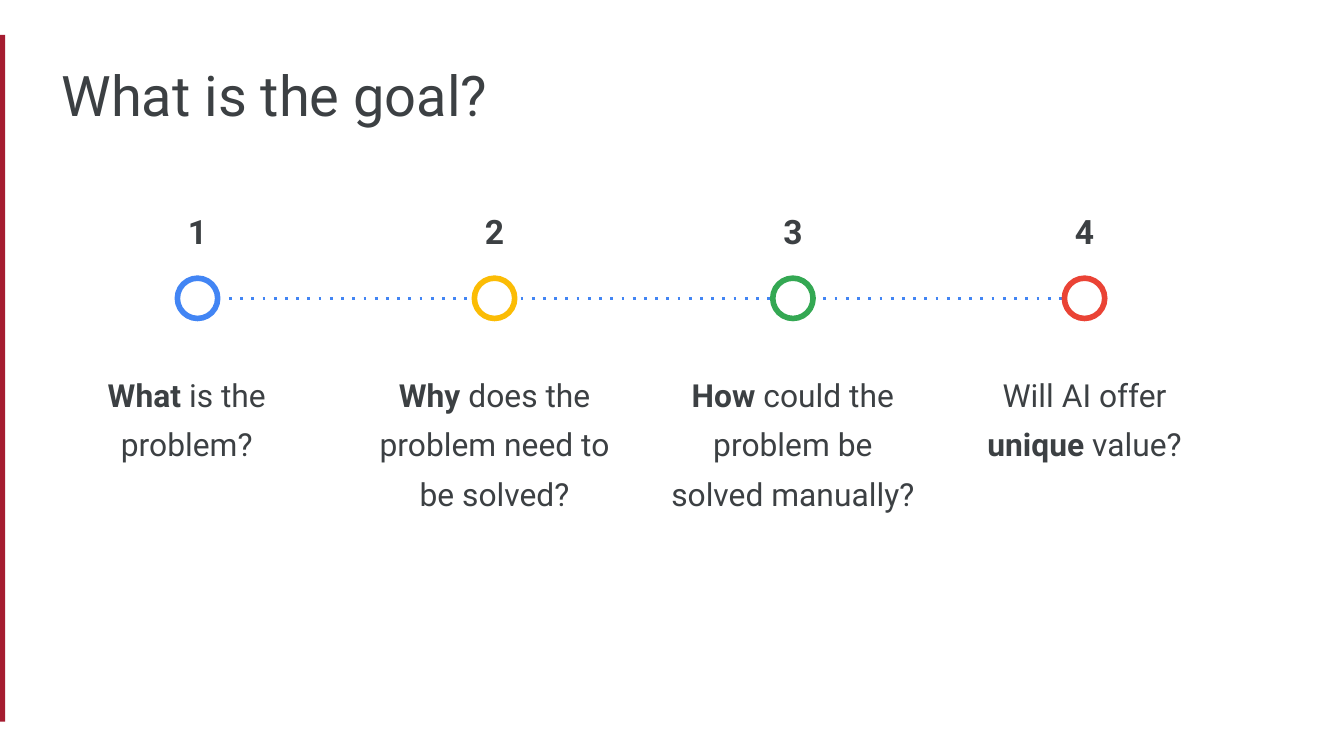
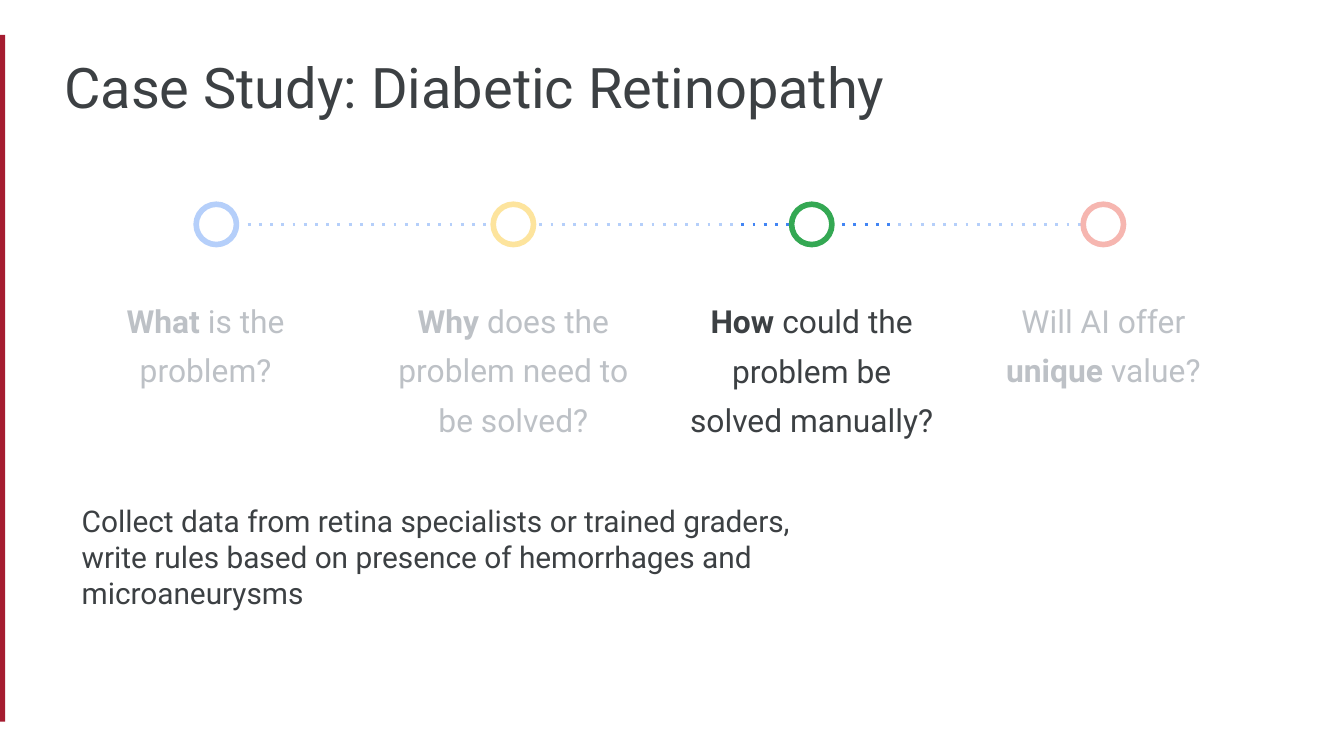
from dataclasses import dataclass

from lxml import etree
from pptx import Presentation
from pptx.dml.color import RGBColor
from pptx.enum.shapes import MSO_CONNECTOR, MSO_SHAPE
from pptx.enum.text import MSO_ANCHOR, PP_ALIGN
from pptx.oxml.ns import qn
from pptx.util import Inches, Pt

STRAIGHT = MSO_CONNECTOR.STRAIGHT
RECTANGLE = MSO_SHAPE.RECTANGLE
OVAL = MSO_SHAPE.OVAL
TOP, MIDDLE = MSO_ANCHOR.TOP, MSO_ANCHOR.MIDDLE
LEFT, CENTER = PP_ALIGN.LEFT, PP_ALIGN.CENTER

CRIMSON = RGBColor(0xA5, 0x1C, 0x30)
INK = RGBColor(0x3C, 0x40, 0x43)
FADED = RGBColor(0xBD, 0xC1, 0xC6)
WHITE = RGBColor(0xFF, 0xFF, 0xFF)
BLUE = RGBColor(0x42, 0x85, 0xF4)
YELLOW = RGBColor(0xFB, 0xBC, 0x05)
GREEN = RGBColor(0x34, 0xA8, 0x53)
RED = RGBColor(0xEA, 0x43, 0x35)

FONT = "Roboto"
RING = 0.3
VEIL_OPACITY = 61


@dataclass
class Step:
    ring_center: float
    text_center: float
    width: float
    height: float
    color: RGBColor
    spans: list


STEPS = [
    Step(1.47, 1.39, 1.28, 1.07, BLUE,
         [("What", True), (" is the problem?", False)]),
    Step(3.68, 3.68, 1.81, 1.2, YELLOW,
         [("Why ", True), ("does the problem need to be solved?", False)]),
    Step(5.9, 5.9, 1.96, 1.41, GREEN,
         [("How ", True), ("could the problem be solved manually?", False)]),
    Step(8.07, 8.07, 1.81, 0.97, RED,
         [("Will AI offer ", False), ("unique", True), (" value?", False)]),
]


def add_text(page, left, top, width, height, spans, size, color=INK,
             align=LEFT, anchor=TOP, inset=0.1, spacing=None):
    box = page.shapes.add_textbox(
        Inches(left), Inches(top), Inches(width), Inches(height))
    frame = box.text_frame
    frame.word_wrap = True
    frame.vertical_anchor = anchor
    frame.margin_left = frame.margin_right = Inches(inset)
    frame.margin_top = frame.margin_bottom = Inches(inset)
    para = frame.paragraphs[0]
    para.alignment = align
    if spacing:
        para.line_spacing = spacing
    for text, bold in spans:
        span = para.add_run()
        span.text = text
        span.font.name = FONT
        span.font.size = Pt(size)
        span.font.bold = bold
        span.font.color.rgb = color


def add_solid(page, kind, left, top, width, height, fill, outline=None):
    shape = page.shapes.add_shape(
        kind, Inches(left), Inches(top), Inches(width), Inches(height))
    shape.shadow.inherit = False
    shape.fill.solid()
    shape.fill.fore_color.rgb = fill
    if outline is None:
        shape.line.fill.background()
    else:
        shape.line.color.rgb = outline
        shape.line.width = Pt(3)
    return shape


def add_veil(page, left, top, width, height):
    veil = add_solid(page, RECTANGLE, left, top, width, height, WHITE)
    fill = veil._element.spPr.find(qn("a:solidFill"))
    etree.SubElement(fill[0], qn("a:alpha"), val=str(VEIL_OPACITY * 1000))


def add_dotted_line(page, start, end, height):
    line = page.shapes.add_connector(
        STRAIGHT, Inches(start), Inches(height), Inches(end), Inches(height))
    line.line.color.rgb = BLUE
    line.line.width = Pt(1.5)
    properties = line._element.spPr
    etree.SubElement(properties.find(qn("a:ln")), qn("a:prstDash"), val="dot")
    etree.SubElement(properties, qn("a:effectLst"))


def add_page(deck, title, left, top):
    page = deck.slides.add_slide(deck.slide_layouts[6])
    add_solid(page, RECTANGLE, -0.02, 0.26, 0.06, 5.11, CRIMSON)
    add_text(page, left, top, 8.53, 0.59, [(title, False)], 30)
    return page


def add_timeline(page, middle, shift=0.0, active=None):
    first, last = STEPS[0].ring_center, STEPS[-1].ring_center
    add_dotted_line(page, first + RING / 2 + shift, last + RING / 2 + shift,
                    middle)
    for step in STEPS:
        add_solid(page, OVAL, step.ring_center - RING / 2 + shift,
                  middle - RING / 2, RING, RING, WHITE, step.color)
        color = INK if active in (None, step) else FADED
        add_text(page, step.text_center - step.width / 2 + shift,
                 middle + 0.47, step.width, step.height, step.spans, 17,
                 color, CENTER, inset=0.02, spacing=1.3)


def build_goal(deck):
    page = add_page(deck, "What is the goal?", 0.36, 0.35)
    for number, step in enumerate(STEPS, 1):
        add_text(page, step.ring_center - 0.2, 1.51, 0.4, 0.42,
                 [(str(number), True)], 18, align=CENTER, anchor=MIDDLE)
    add_timeline(page, 2.22)


def build_case_study(deck):
    page = add_page(deck, "Case Study: Diabetic Retinopathy", 0.38, 0.29)
    add_timeline(page, 1.67, shift=0.14, active=STEPS[2])
    answer = ("Collect data from retina specialists or trained graders, "
              "write rules based on presence of hemorrhages and "
              "microaneurysms")
    add_text(page, 0.51, 3.64, 5.66, 1.57, [(answer, False)], 16)
    add_veil(page, 0.84, 1.21, 4.64, 0.93)
    add_veil(page, 6.65, 1.13, 2.2, 0.93)


def main():
    deck = Presentation()
    deck.slide_width = Inches(10)
    deck.slide_height = Inches(10) * 9 // 16
    build_goal(deck)
    build_case_study(deck)
    deck.save("out.pptx")


if __name__ == "__main__":
    main()
